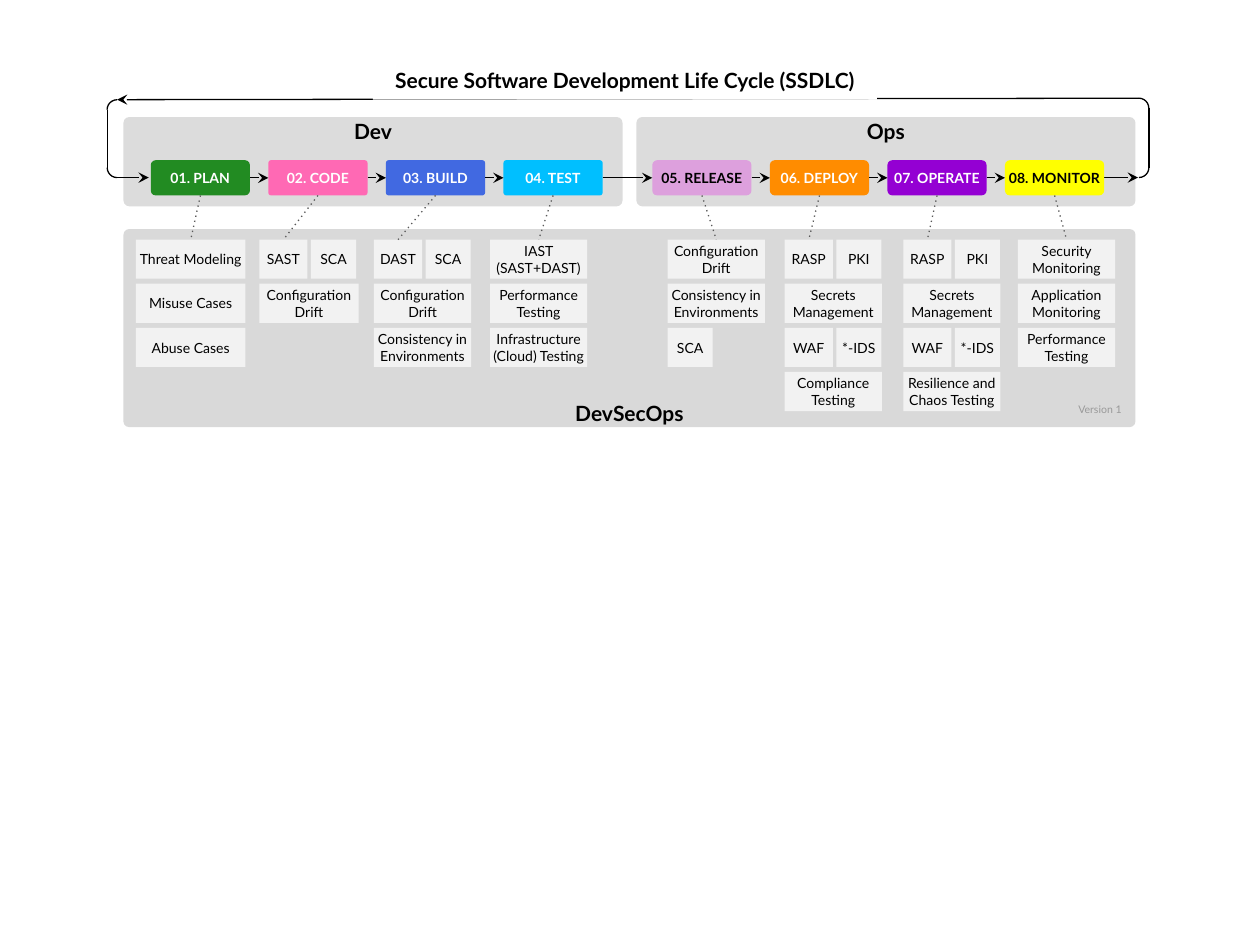
import lxml.etree
import pptx
import pptx.dml.color
import pptx.enum.shapes
import pptx.enum.text
import pptx.oxml.ns
import pptx.util

Cm = pptx.util.Cm
SHAPE = pptx.enum.shapes.MSO_SHAPE
ANCHOR = pptx.enum.text.MSO_ANCHOR

COLORS = {
    "black": "000000", "white": "FFFFFF", "dots": "595959", "version": "999999",
    "cycle": "DCDCDC", "practices": "D9D9D9", "practice": "F2F2F2",
    "plan": "228B22", "code": "FF69B4", "build": "4169E1", "test": "00BFFF",
    "release": "DDA0DD", "deploy": "FF8C00", "operate": "9400D3", "monitor": "FFFF00",
}

PANELS = [
    ("DevSecOps", (2.49, 4.62, 20.4, 3.99), "practices", 0.028, ANCHOR.BOTTOM),
    ("Ops", (12.83, 2.36, 10.06, 1.8), "cycle", 0.065, ANCHOR.TOP),
    ("Dev", (2.49, 2.36, 10.06, 1.8), "cycle", 0.065, ANCHOR.TOP),
]

STAGES = [
    ("01. PLAN", "plan", "white", 0.14),
    ("02. CODE", "code", "white", 0.08),
    ("03. BUILD", "build", "white", 0.08),
    ("04. TEST", "test", "white", 0.08),
    ("05. RELEASE", "release", "black", 0.14),
    ("06. DEPLOY", "deploy", "white", 0.14),
    ("07. OPERATE", "operate", "white", 0.14),
    ("08. MONITOR", "monitor", "black", 0.14),
]

PRACTICES = [
    (2.74, 2.21, ["Threat Modeling", "Misuse Cases", "Abuse Cases"]),
    (5.23, 2.0, [("SAST", "SCA"), "Configuration Drift"]),
    (7.54, 1.96, [("DAST", "SCA"), "Configuration Drift", "Consistency in Environments"]),
    (9.88, 1.96, ["IAST (SAST+DAST)", "Performance Testing", "Infrastructure (Cloud) Testing"]),
    (13.46, 1.96, ["Configuration Drift", "Consistency in Environments", ("SCA",)]),
    (15.82, 1.96, [("RASP", "PKI"), "Secrets Management", ("WAF", "*-IDS"), "Compliance Testing"]),
    (18.21, 1.96, [("RASP", "PKI"), "Secrets Management", ("WAF", "*-IDS"),
                   "Resilience and Chaos Testing"]),
    (20.52, 1.96, ["Security Monitoring", "Application Monitoring", "Performance Testing"]),
]

LOOP_CORNERS = [(2.16, 3.18, 180), (22.76, 1.98, 0), (2.16, 2.01, 270), (22.76, 3.18, 90)]
LOOP_LINES = [
    ((22.96, 1.98), (2.36, 2.01), True),
    ((2.16, 3.38), (2.16, 2.21), False),
    ((23.16, 3.38), (23.16, 2.18), False),
    ((2.31, 3.58), (3.0, 3.58), True),
    ((22.23, 3.58), (22.94, 3.58), True),
]

GROUP_LEFTS = (3.04, 13.15)
STAGES_PER_GROUP = 4
STAGE_PITCH, STAGE_TOP, STAGE_WIDTH, STAGE_HEIGHT = 2.37, 3.23, 2.0, 0.71
ROW_TOP, ROW_PITCH, ROW_HEIGHT = 4.83, 0.89, 0.79
HALF_WIDTHS, HALF_GAP = (0.97, 0.91), 0.07


def rgb(name):
    return pptx.dml.color.RGBColor.from_string(COLORS[name])


def add_box(page, kind, place, fill, text="", size=8, color="black", bold=False,
            anchor=ANCHOR.MIDDLE, radius=None):
    box = page.shapes.add_shape(kind, *map(Cm, place))
    box.shadow.inherit = False
    box.fill.solid()
    box.fill.fore_color.rgb = rgb(fill)
    box.line.fill.background()
    if radius is not None:
        box.adjustments[0] = radius
    if text:
        frame = box.text_frame
        frame.margin_left = frame.margin_right = frame.margin_top = frame.margin_bottom = 0
        frame.word_wrap = True
        frame.vertical_anchor = anchor
        frame.text = text
        para = frame.paragraphs[0]
        para.alignment = pptx.enum.text.PP_ALIGN.CENTER
        font = para.runs[0].font
        font.name, font.size, font.bold = "Lato", pptx.util.Pt(size), bold
        font.color.rgb = rgb(color)


def style_line(shape, color):
    shape.line.color.rgb = rgb(color)
    shape.line.width = pptx.util.Pt(0.75)


def add_line(page, start, end, color="black", arrow=False, dotted=False):
    line = page.shapes.add_connector(
        pptx.enum.shapes.MSO_CONNECTOR.STRAIGHT, *map(Cm, start + end))
    style_line(line, color)
    qn = pptx.oxml.ns.qn
    properties = line.line._get_or_add_ln()
    if dotted:
        lxml.etree.SubElement(properties, qn("a:prstDash"), val="dot")
    if arrow:
        lxml.etree.SubElement(properties, qn("a:tailEnd"), type="stealth")
    lxml.etree.SubElement(line._element.spPr, qn("a:effectLst"))


def add_corner(page, left, top, rotation):
    corner = page.shapes.add_shape(SHAPE.ARC, Cm(left), Cm(top), Cm(0.4), Cm(0.4))
    corner.shadow.inherit = False
    corner.fill.background()
    corner.rotation = rotation
    style_line(corner, "black")


def stage_left(index):
    group, position = divmod(index, STAGES_PER_GROUP)
    return GROUP_LEFTS[group] + position * STAGE_PITCH


def row_boxes(left, width, item):
    if isinstance(item, str):
        return [(item, left, width)]
    boxes = []
    for name, half_width in zip(item, HALF_WIDTHS[-len(item):]):
        boxes.append((name, left, half_width))
        left += half_width + HALF_GAP
    return boxes


def add_stages(page):
    middle = STAGE_TOP + STAGE_HEIGHT / 2
    for index, (name, fill, color, radius) in enumerate(STAGES):
        left = stage_left(index)
        add_box(page, SHAPE.ROUNDED_RECTANGLE, (left, STAGE_TOP, STAGE_WIDTH, STAGE_HEIGHT),
                fill, name, color=color, bold=True, radius=radius)
        if index:
            previous_right = stage_left(index - 1) + STAGE_WIDTH
            add_line(page, (previous_right, middle), (left, middle), arrow=True)


def add_practices(page):
    for index, (left, width, items) in enumerate(PRACTICES):
        for row, item in enumerate(items):
            top = ROW_TOP + row * ROW_PITCH
            for name, box_left, box_width in row_boxes(left, width, item):
                add_box(page, SHAPE.RECTANGLE, (box_left, top, box_width, ROW_HEIGHT),
                        "practice", name)
        _, first_left, first_width = row_boxes(left, width, items[0])[0]
        add_line(page, (stage_left(index) + STAGE_WIDTH / 2, STAGE_TOP + STAGE_HEIGHT),
                 (first_left + first_width / 2, ROW_TOP), "dots", dotted=True)


def main():
    deck = pptx.Presentation()
    deck.slide_width, deck.slide_height = Cm(25.4), Cm(19.05)
    page = deck.slides.add_slide(deck.slide_layouts[6])
    add_box(page, SHAPE.RECTANGLE, (2.03, 1.14, 21.23, 7.62), "white")
    for name, place, fill, radius, anchor in PANELS:
        add_box(page, SHAPE.ROUNDED_RECTANGLE, place, fill, name, size=12, bold=True,
                anchor=anchor, radius=radius)
    for start, end, arrow in LOOP_LINES:
        add_line(page, start, end, arrow=arrow)
    for corner in LOOP_CORNERS:
        add_corner(page, *corner)
    add_stages(page)
    add_practices(page)
    add_box(page, SHAPE.RECTANGLE, (21.59, 8.1, 1.17, 0.3), "practices", "Version 1",
            size=6, color="version")
    add_box(page, SHAPE.RECTANGLE, (7.52, 1.22, 10.16, 0.79), "white",
            "Secure Software Development Life Cycle (SSDLC)", size=12, bold=True)
    deck.save("out.pptx")


if __name__ == "__main__":
    main()
